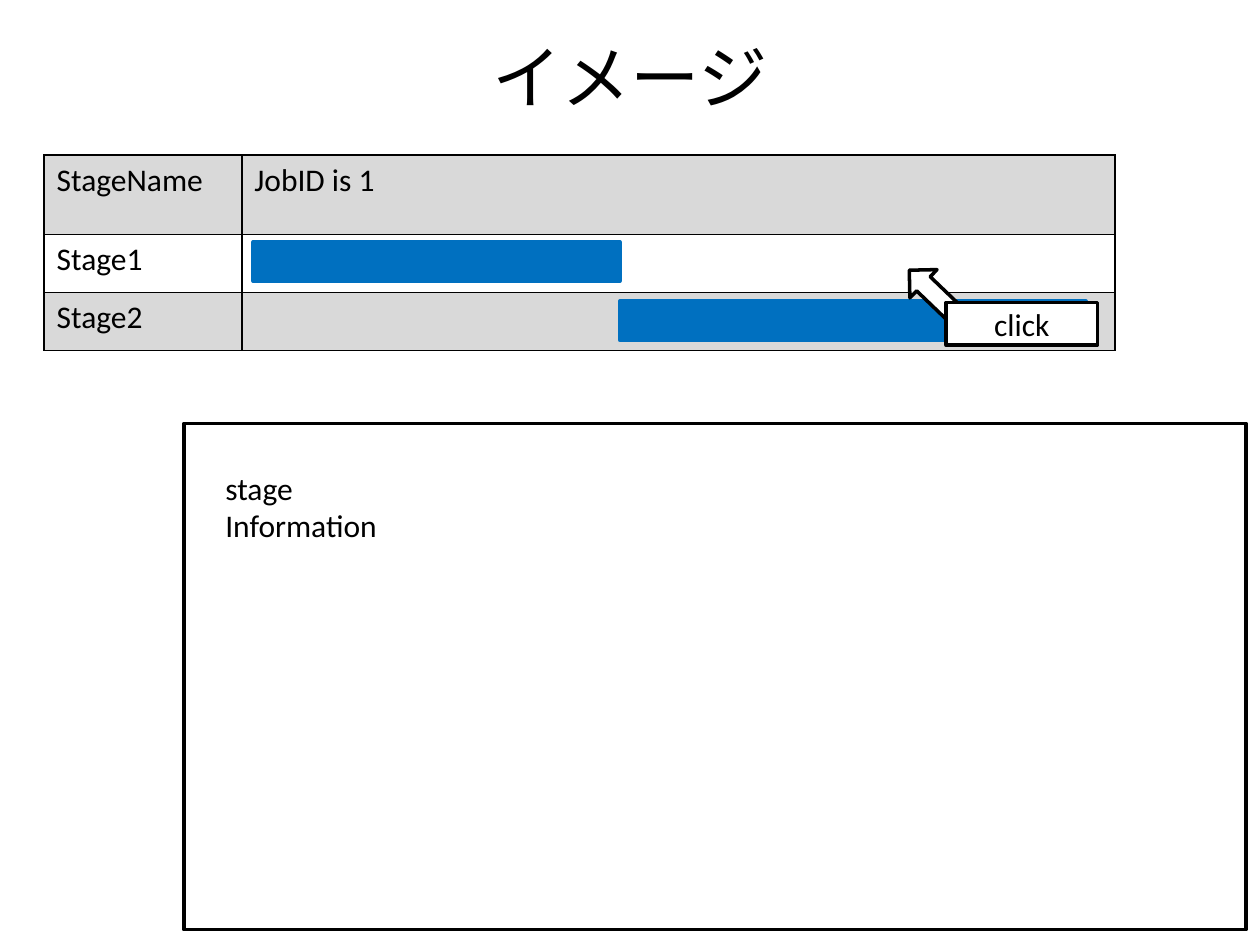
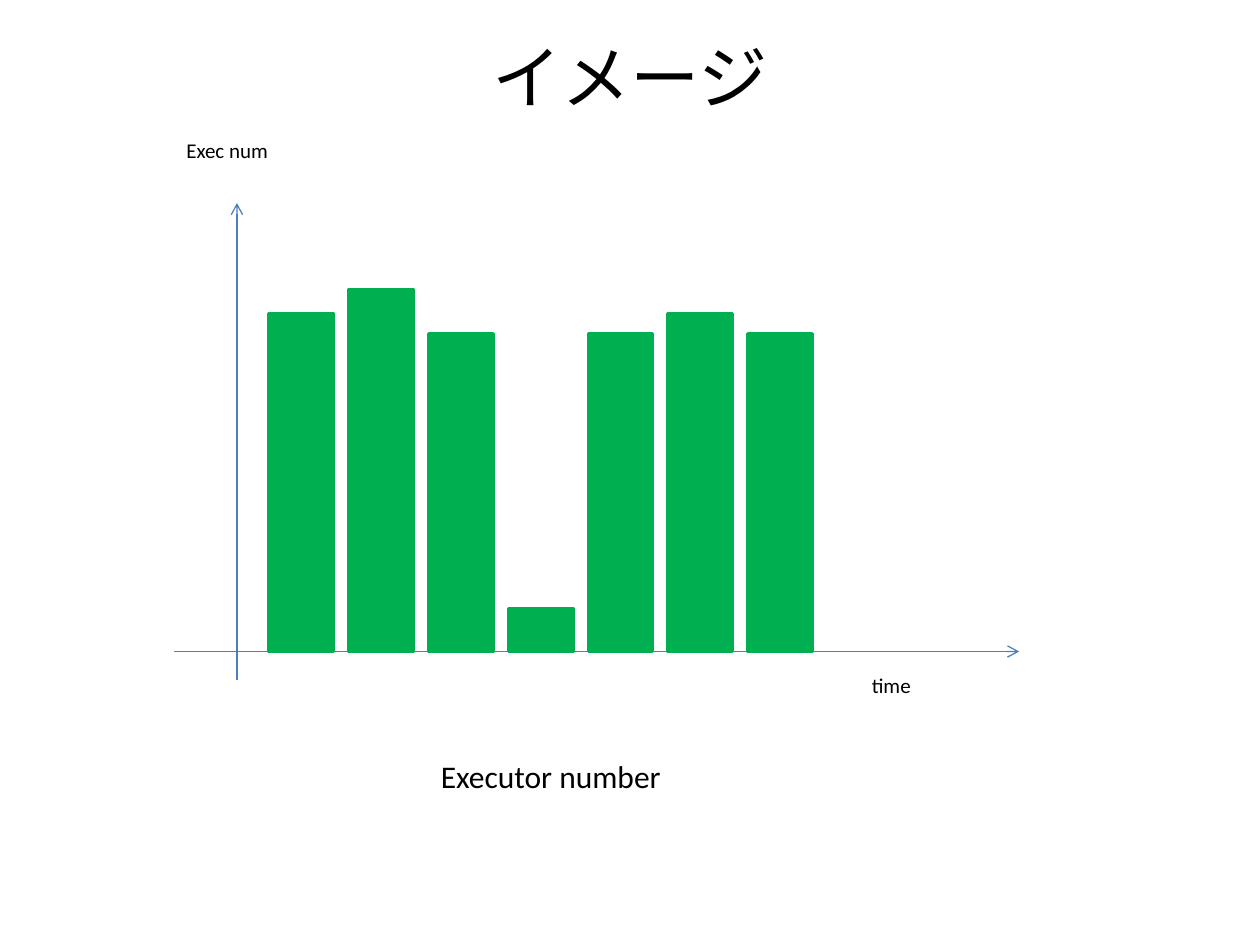
import pptx
import pptx.util
import pptx.dml.color
import pptx.enum.shapes
import pptx.enum.text
import pptx.oxml
import pptx.oxml.ns

Pt = pptx.util.Pt
RGBColor = pptx.dml.color.RGBColor
SHAPE = pptx.enum.shapes.MSO_SHAPE
ALIGN = pptx.enum.text.PP_ALIGN
ANCHOR = pptx.enum.text.MSO_ANCHOR

BLACK = RGBColor(0x00, 0x00, 0x00)
WHITE = RGBColor(0xFF, 0xFF, 0xFF)
GREY = RGBColor(0xD9, 0xD9, 0xD9)
BLUE = RGBColor(0x00, 0x70, 0xC0)
GREEN = RGBColor(0x00, 0xB0, 0x50)
AXIS_BLUE = RGBColor(0x4B, 0x7E, 0xBC)

FONT = "Calibri"
TITLE = "イメージ"
TITLE_BOX = (36, 21.6, 648, 44)


# Shared helpers; every box is (left, top, width, height) in points
def write(frame, words, size=18, align=ALIGN.LEFT):
    para = frame.paragraphs[0]
    para.alignment = align
    span = para.add_run()
    span.text = words
    span.font.color.rgb = BLACK
    for name, value in {"name": FONT, "size": Pt(size)}.items():
        setattr(span.font, name, value)


def add_text(shapes, box, words, size=18, align=ALIGN.LEFT, anchor=ANCHOR.TOP):
    frame = shapes.add_textbox(*map(Pt, box)).text_frame
    for name, value in {"word_wrap": True, "vertical_anchor": anchor}.items():
        setattr(frame, name, value)
    write(frame, words, size, align)


def add_block(shapes, box, fill, line, kind=SHAPE.RECTANGLE):
    block = shapes.add_shape(kind, *map(Pt, box))
    block.shadow.inherit = False
    block.fill.solid()
    block.fill.fore_color.rgb = fill
    block.line.color.rgb = line
    block.line.width = Pt(2)
    return block


def add_arrow(shapes, start, end):
    arrow = shapes.add_connector(pptx.enum.shapes.MSO_CONNECTOR.STRAIGHT,
                                 *map(Pt, start + end))
    arrow.line.color.rgb = AXIS_BLUE
    arrow.line.width = Pt(0.75)
    pptx.oxml.ns.qn("a:ln")
    line = arrow.line._get_or_add_ln()
    line.append(pptx.oxml.parse_xml(
        f'<a:tailEnd {pptx.oxml.ns.nsdecls("a")} type="arrow"/>'))
    line.getparent().append(pptx.oxml.parse_xml(
        f'<a:effectLst {pptx.oxml.ns.nsdecls("a")}/>'))


def add_page(deck):
    page = deck.slides.add_slide(deck.slide_layouts[6])
    add_text(page.shapes, TITLE_BOX, TITLE, 39.6, ALIGN.CENTER, ANCHOR.MIDDLE)
    return page


# Stage timeline
def style_cell(cell, fill):
    for side in ("lnL", "lnR", "lnT", "lnB"):
        cell._tc.get_or_add_tcPr().append(pptx.oxml.parse_xml(
            f'<a:{side} {pptx.oxml.ns.nsdecls("a")} w="{Pt(1)}"><a:solidFill>'
            f'<a:srgbClr val="{BLACK}"/></a:solidFill></a:{side}>'))
    cell.fill.solid()
    cell.fill.fore_color.rgb = fill


def stage_table(page, left, top):
    rows = [("StageName", "JobID is 1"), ("Stage1", ""), ("Stage2", "")]
    widths, heights = (113, 499), (45.4, 33.1, 33.1)
    table = page.shapes.add_table(
        len(rows), len(widths),
        *map(Pt, (left, top, sum(widths), sum(heights)))).table
    table.first_row = table.horz_banding = False
    for column, width in zip(table.columns, widths):
        column.width = Pt(width)
    for index, (row, height, texts) in enumerate(zip(table.rows, heights, rows)):
        row.height = Pt(height)
        for cell, words in zip(row.cells, texts):
            style_cell(cell, WHITE if index % 2 else GREY)
            if words:
                write(cell.text_frame, words)

    # Run time of each stage
    for x, y, width in ((119.5, 49.7, 209.5), (329, 83.5, 266.4)):
        add_block(page.shapes, (left + x, top + y, width, 22.4), BLUE, BLUE)


def click_callout(page, left, top):
    shapes = page.shapes.add_group_shape().shapes
    pointer = add_block(shapes, (left, top, 22.4, 39.6), WHITE, BLACK,
                        SHAPE.UP_ARROW)
    pointer.rotation = 313.8
    label = add_block(shapes, (left + 18, top + 24.5, 86.4, 24.5), WHITE, BLACK)
    label.text_frame.vertical_anchor = ANCHOR.MIDDLE
    write(label.text_frame, "click", align=ALIGN.CENTER)


def information_panel(page, left, top):
    shapes = page.shapes.add_group_shape().shapes
    add_block(shapes, (left, top, 607, 289.4), WHITE, BLACK)
    add_text(shapes, (left + 16.6, top + 22.3, 129.6, 51), "stage Information")


def timeline_page(deck):
    page = add_page(deck)
    stage_table(page, 25.2, 88.6)
    click_callout(page, 522.7, 148.3)
    information_panel(page, 105.1, 241.9)


# Executor bars, placed from the point where the axes cross
def executor_diagram(page, left, base):
    shapes = page.shapes.add_group_shape().shapes
    add_arrow(shapes, (left, base + 16.5), (left, base - 256.3))
    add_arrow(shapes, (left - 36, base), (left + 447, base))
    add_text(shapes, (left - 36, base - 297.4, 91.4, 21.8), "Exec num", 12)
    add_text(shapes, (left + 355.7, base + 8.6, 118.8, 21.8), "time", 12)
    for index, height in enumerate((193, 206.8, 181.6, 24.7, 181.6, 193, 181.6)):
        add_block(shapes, (left + 18.4 + index * 45.6, base - height, 36.7, height),
                  GREEN, GREEN)
    add_text(shapes, (left + 109.4, base + 56.9, 182.2, 29), "Executor number")


def executor_page(deck):
    executor_diagram(add_page(deck), 135.4, 372.3)


def main():
    deck = pptx.Presentation()
    deck.slide_width, deck.slide_height = Pt(720), Pt(540)
    timeline_page(deck)
    executor_page(deck)
    deck.save("out.pptx")


if __name__ == "__main__":
    main()
